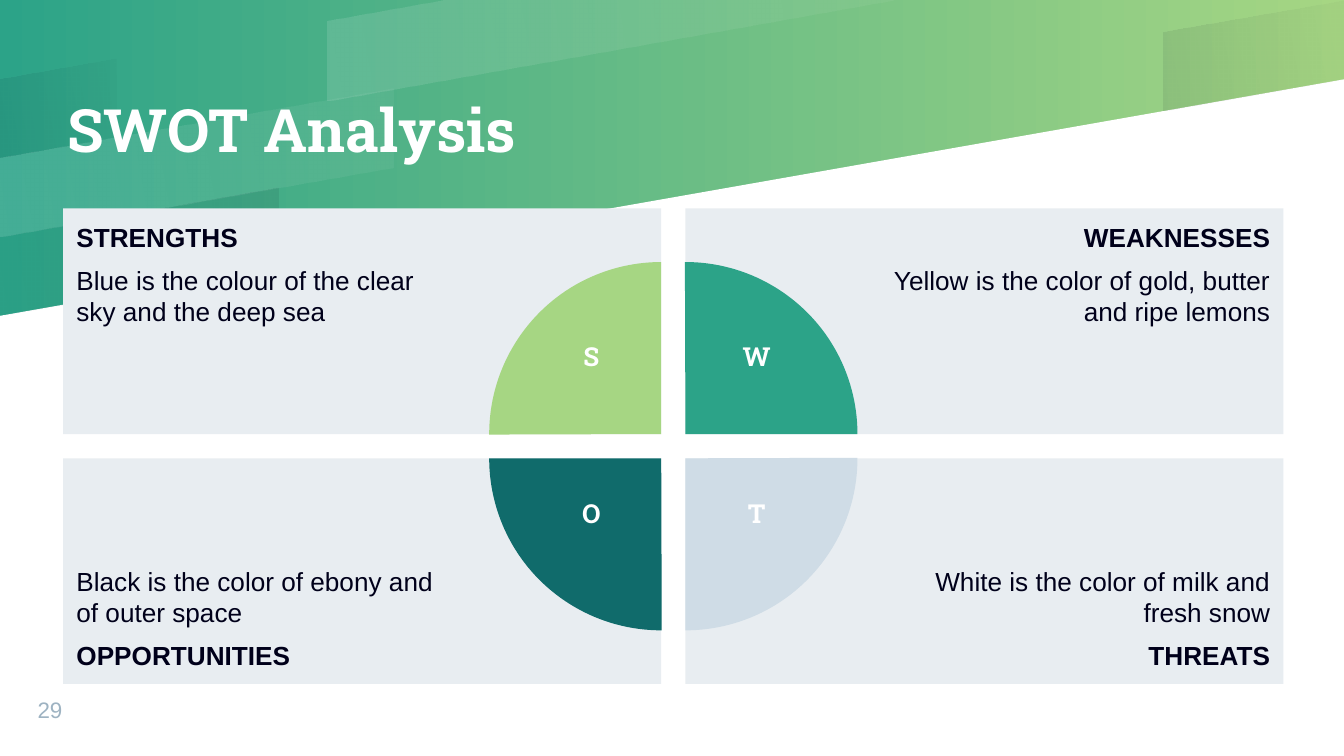
from dataclasses import dataclass
from typing import Any

from lxml import etree
from pptx import Presentation
from pptx.dml.color import RGBColor
from pptx.enum.shapes import MSO_SHAPE
from pptx.enum.text import MSO_ANCHOR, PP_ALIGN
from pptx.oxml.ns import qn
from pptx.util import Inches, Pt

RECTANGLE, PIE = MSO_SHAPE.RECTANGLE, MSO_SHAPE.PIE
TOP, MIDDLE, BOTTOM = MSO_ANCHOR.TOP, MSO_ANCHOR.MIDDLE, MSO_ANCHOR.BOTTOM
LEFT, CENTER, RIGHT = PP_ALIGN.LEFT, PP_ALIGN.CENTER, PP_ALIGN.RIGHT

SLIDE_WIDTH = Inches(10)
SLIDE_HEIGHT = SLIDE_WIDTH * 9 // 16
CELL = SLIDE_WIDTH // 100
COLUMNS, ROWS = 100, 56.25

WHITE, INK, PANEL, GREY = "FFFFFF", "00001A", "E8EDF1", "9EB3C2"
GREEN, LIME, TEAL, MIST = "2CA388", "A6D683", "106B6B", "CFDCE6"
SANS, SLAB = "Arial", "Roboto Slab"

PANEL_WIDTH, PANEL_HEIGHT = 44.5, 16.8
PANEL_LEFT, PANEL_TOP = 4.7, 15.5
COLUMN_STEP, ROW_STEP = 46.3, 18.6
RADIUS = 12.8
LETTER_WIDTH, LETTER_HEIGHT = 6.8, 4.8

EDGE_START, EDGE_SLOPE, BAND_DEPTH = 23.5, 0.18, 5.87
EDGE_END = 5.9


@dataclass(frozen=True)
class Band:
    left: float
    right: float
    level: int
    color: str
    opacities: tuple[int, int]


@dataclass(frozen=True)
class Quadrant:
    column: int
    row: int
    letter: str
    heading: str
    body: str
    color: str
    rotation: int


BANDS = [
    Band(24.4, 66.5, 2, WHITE, (12, 5)),
    Band(0, 8.7, 2, INK, (8, 2)),
    Band(0, 20.7, 0, INK, (2, 8)),
    Band(86.6, 100, 0, INK, (8, 2)),
    Band(0, 29.3, 1, WHITE, (12, 5)),
]
QUADRANTS = [
    Quadrant(0, 0, "S", "STRENGTHS", "Blue is the colour of the clear sky and the deep sea", LIME, 0),
    Quadrant(1, 0, "W", "WEAKNESSES", "Yellow is the color of gold, butter and ripe lemons", GREEN, 90),
    Quadrant(1, 1, "T", "THREATS", "White is the color of milk and fresh snow", MIST, 180),
    Quadrant(0, 1, "O", "OPPORTUNITIES", "Black is the color of ebony and of outer space", TEAL, 270),
]


def rgb(color: str) -> RGBColor:
    return RGBColor.from_string(color)


def cells(*values: float) -> list[int]:
    return [round(value * CELL) for value in values]


def apply(target: Any, values: dict[str, Any]) -> None:
    for name, value in values.items():
        setattr(target, name, value)


def paint(shape: Any, color: str) -> None:
    shape.shadow.inherit = False
    shape.fill.solid()
    shape.fill.fore_color.rgb = rgb(color)
    shape.line.fill.background()


def paint_gradient(fill: Any, colors: tuple[str, str], angle: int) -> None:
    fill.gradient()
    fill.gradient_angle = angle
    for stop, color, position in zip(fill.gradient_stops, colors, (0, 1)):
        stop.position = position
        stop.color.rgb = rgb(color)


def draw_polygon(slide: Any, points: list[tuple[float, float]], color: str) -> Any:
    corners = [tuple(cells(*point)) for point in points]
    builder = slide.shapes.build_freeform(*corners[0])
    builder.add_line_segments(corners[1:], close=True)
    shape = builder.convert_to_shape()
    paint(shape, color)
    return shape


def draw_band(slide: Any, band: Band) -> None:
    slope = (EDGE_START - EDGE_END) / COLUMNS
    lower = EDGE_START - band.level * BAND_DEPTH
    upper = lower - BAND_DEPTH
    bend = min(band.right, upper / slope)
    points = [
        (band.left, upper - slope * band.left),
        (bend, upper - slope * bend),
        (band.right, max(0, upper - slope * band.right)),
        (band.right, max(0, lower - slope * band.right)),
        (band.left, lower - slope * band.left),
    ]
    shape = draw_polygon(slide, points, band.color)
    paint_gradient(shape.fill, (band.color, band.color), 10)
    for color, opacity in zip(shape._element.spPr.iter(qn("a:srgbClr")), band.opacities):
        etree.SubElement(color, qn("a:alpha"), val=str(opacity * 1000))


def set_frame(shape: Any, anchor: Any, insets: tuple[float, float, float, float]) -> Any:
    frame = shape.text_frame
    sides = ("margin_left", "margin_top", "margin_right", "margin_bottom")
    apply(frame, {"word_wrap": True, "vertical_anchor": anchor, **dict(zip(sides, cells(*insets)))})
    return frame


def write(paragraph: Any, text: str, font: str, size: int, color: str, bold: bool, **layout: Any) -> Any:
    apply(paragraph, layout)
    run = paragraph.add_run()
    run.text = text
    apply(run.font, {"name": font, "size": Pt(size), "bold": bold})
    run.font.color.rgb = rgb(color)
    return run


def add_text_shadow(run: Any) -> None:
    effects = etree.Element(qn("a:effectLst"))
    shadow = etree.SubElement(
        effects, qn("a:outerShdw"), blurRad="28575", dist="19050", dir="3000000", algn="bl", rotWithShape="0"
    )
    color = etree.SubElement(shadow, qn("a:srgbClr"), val=INK)
    etree.SubElement(color, qn("a:alpha"), val="30000")
    run._r.rPr.find(qn("a:solidFill")).addnext(effects)


def draw_panel(slide: Any, quadrant: Quadrant) -> None:
    left = PANEL_LEFT + quadrant.column * COLUMN_STEP
    top = PANEL_TOP + quadrant.row * ROW_STEP
    shape = slide.shapes.add_shape(RECTANGLE, *cells(left, top, PANEL_WIDTH, PANEL_HEIGHT))
    paint(shape, PANEL)
    insets = (15, 1, 1, 1) if quadrant.column else (1, 1, 15, 1)
    frame = set_frame(shape, BOTTOM if quadrant.row else TOP, insets)
    lines = [(quadrant.heading, True), (quadrant.body, False)]
    if quadrant.row:
        lines.reverse()
    alignment = RIGHT if quadrant.column else LEFT
    first, second = frame.paragraphs[0], frame.add_paragraph()
    write(first, lines[0][0], SANS, 14, INK, lines[0][1], alignment=alignment)
    write(second, lines[1][0], SANS, 14, INK, lines[1][1],
          alignment=alignment, space_before=Pt(6), space_after=Pt(6))


def inner_corner(quadrant: Quadrant) -> tuple[float, float]:
    x = PANEL_LEFT + (COLUMN_STEP if quadrant.column else PANEL_WIDTH)
    y = PANEL_TOP + (ROW_STEP if quadrant.row else PANEL_HEIGHT)
    return x, y


def draw_pie(slide: Any, quadrant: Quadrant) -> None:
    x, y = inner_corner(quadrant)
    shape = slide.shapes.add_shape(PIE, *cells(x - RADIUS, y - RADIUS, 2 * RADIUS, 2 * RADIUS))
    shape.adjustments[0], shape.adjustments[1] = 107.89, 162
    shape.rotation = quadrant.rotation
    paint(shape, quadrant.color)


def draw_letter(slide: Any, quadrant: Quadrant) -> None:
    x, y = inner_corner(quadrant)
    left = x + (5.3 if quadrant.column else -5.2) - LETTER_WIDTH / 2
    top = y + (2.4 if quadrant.row else -7.5)
    shape = slide.shapes.add_textbox(*cells(left, top, LETTER_WIDTH, LETTER_HEIGHT))
    frame = set_frame(shape, TOP, (1, 0.5, 1, 0.5))
    write(frame.paragraphs[0], quadrant.letter, SLAB, 14, WHITE, True, alignment=CENTER)


def main() -> None:
    presentation = Presentation()
    apply(presentation, {"slide_width": SLIDE_WIDTH, "slide_height": SLIDE_HEIGHT})
    slide = presentation.slides.add_slide(presentation.slide_layouts[6])
    paint_gradient(slide.background.fill, (GREEN, LIME), 0)
    draw_polygon(slide, [(0, ROWS), (COLUMNS, ROWS), (COLUMNS, EDGE_END), (0, EDGE_START)], WHITE)
    for band in BANDS:
        draw_band(slide, band)

    title = set_frame(slide.shapes.add_textbox(*cells(5, 0, 60, 19.8)), MIDDLE, (0, 0, 0, 0))
    add_text_shadow(write(title.paragraphs[0], "SWOT Analysis", SLAB, 32, WHITE, True, line_spacing=0.9))
    number = set_frame(slide.shapes.add_textbox(*cells(2.8, 51.1, 5.3, 2.7)), BOTTOM, (0, 0, 0, 0))
    write(number.paragraphs[0], "29", SANS, 12, GREY, False)

    for draw in (draw_panel, draw_pie, draw_letter):
        for quadrant in QUADRANTS:
            draw(slide, quadrant)
    presentation.save("out.pptx")


if __name__ == "__main__":
    main()
